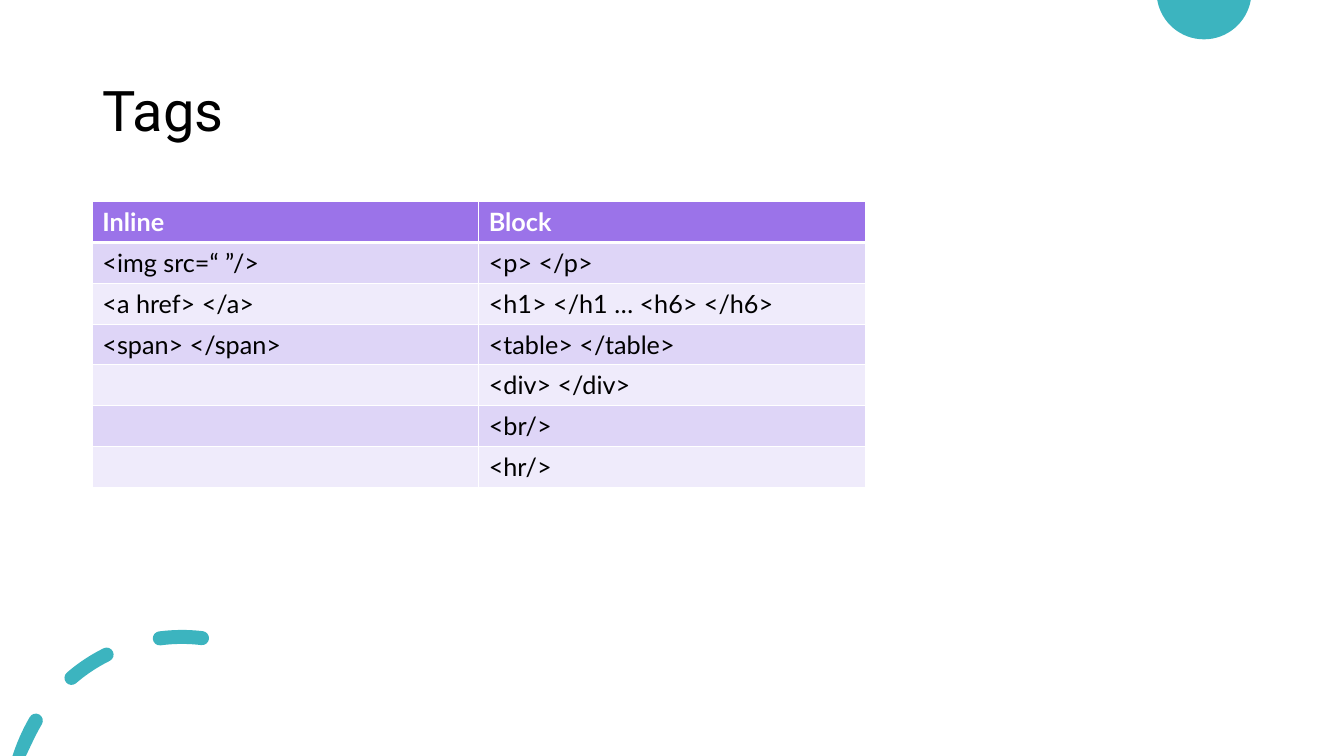
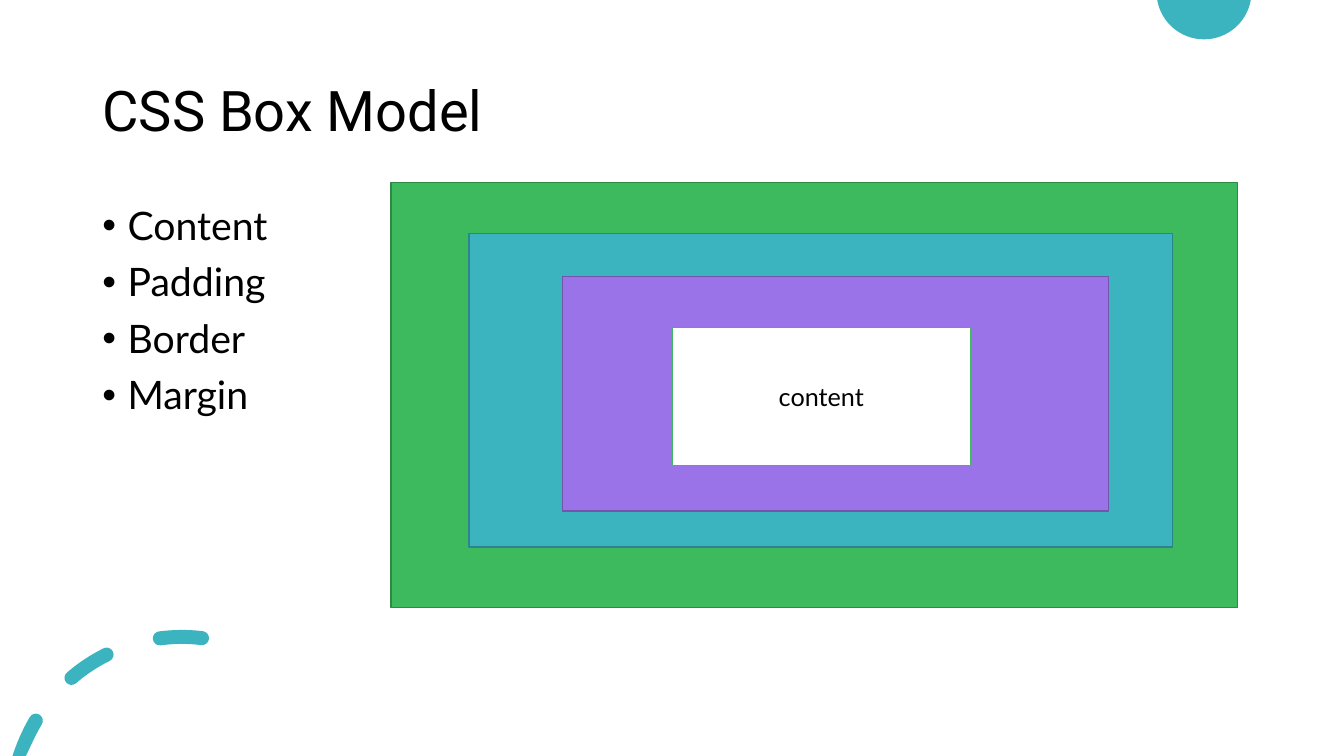
"""Builds two slides on HTML tags and the CSS box model."""
import math

from lxml import etree
from pptx import Presentation
from pptx.dml import color as dml
from pptx.enum import shapes, text
from pptx.oxml import ns
from pptx.util import Pt

WIDTH, HEIGHT = 960, 540
LEFT, CONTENT_TOP = 66, 144
TEAL, PURPLE, GREEN = "3CB4BF", "9B73E9", "3DBA5D"
WHITE, BLACK = "FFFFFF", "000000"
BANDS = ("DED5F7", "EFEBFB")
HEADING_FONT, BODY_FONT = "Roboto", "Lato"
TITLE_ONLY, TITLE_AND_CONTENT = 5, 1


def rgb(value):
    """Turn a hex string into a colour."""
    return dml.RGBColor.from_string(value)


def arc(center, radius, start, sweep, curves=1):
    """Return the Bezier points of an arc, in degrees clockwise from the left."""
    step = math.radians(sweep / curves)
    pull = 4 / 3 * math.tan(step / 4)

    def point(angle, offset=0):
        """Return a point on the circle, moved along its tangent."""
        return (center[0] - radius * (math.cos(angle) - offset * math.sin(angle)),
                center[1] - radius * (math.sin(angle) + offset * math.cos(angle)))

    angle = math.radians(start)
    points = [point(angle)]
    for _ in range(curves):
        points += [point(angle, pull), point(angle + step, -pull),
                   point(angle + step)]
        angle += step
    return points


def dash(center, radius, half_width, start, sweep):
    """Return the Bezier points of a curved dash with round ends."""
    end = start + sweep
    first, *_, last = arc(center, radius, start, sweep)
    return (arc(center, radius + half_width, start, sweep)
            + arc(last, half_width, end, 180, 2)[1:]
            + arc(center, radius - half_width, end, -sweep)[1:]
            + arc(first, half_width, start + 180, 180, 2)[1:])


def bend_lines(shape):
    """Turn each three line segments of a freeform into one Bezier curve."""
    lines = list(shape.element.iter(ns.qn("a:lnTo")))
    for index in range(0, len(lines), 3):
        curve = etree.Element(ns.qn("a:cubicBezTo"))
        lines[index].addprevious(curve)
        for line in lines[index:index + 3]:
            curve.append(line[0])
            line.getparent().remove(line)


def add_border(cell, side, width):
    """Give one side of a cell a white line."""
    properties = cell._tc.get_or_add_tcPr()
    line = etree.SubElement(properties, ns.qn("a:ln" + side), w=str(Pt(width)))
    fill = etree.SubElement(line, ns.qn("a:solidFill"))
    etree.SubElement(fill, ns.qn("a:srgbClr"), val=WHITE)


def add_bullet(paragraph, indent):
    """Give a paragraph a round bullet with a hanging indent."""
    properties = paragraph._p.get_or_add_pPr()
    properties.set("marL", str(Pt(indent)))
    properties.set("indent", str(-Pt(indent)))
    etree.SubElement(properties, ns.qn("a:buFont"), typeface="Arial")
    etree.SubElement(properties, ns.qn("a:buChar"), char="•")


class Deck:
    """Holds the presentation, its style and the current slide."""

    def __init__(self):
        """Start a widescreen presentation."""
        self.presentation = Presentation()
        self.presentation.slide_width = Pt(WIDTH)
        self.presentation.slide_height = Pt(HEIGHT)
        self.slide = None

    def add_slide(self, layout, title):
        """Start a slide with its title."""
        self.slide = self.presentation.slides.add_slide(
            self.presentation.slide_layouts[layout])
        shape = self.slide.shapes.title
        self.place(shape, LEFT, 28.8, 828, 104.4)
        shape.text_frame.vertical_anchor = text.MSO_ANCHOR.MIDDLE
        paragraph = shape.text_frame.paragraphs[0]
        paragraph.alignment = text.PP_ALIGN.LEFT
        paragraph.line_spacing = 0.9
        self.add_run(paragraph, title, 40, font=HEADING_FONT)

    def place(self, shape, left, top, width, height):
        """Move and size a placeholder, and keep its text size fixed."""
        shape.left, shape.top = Pt(left), Pt(top)
        shape.width, shape.height = Pt(width), Pt(height)
        shape.text_frame.auto_size = text.MSO_AUTO_SIZE.NONE

    def add_run(self, paragraph, words, size, color=BLACK, bold=False,
                font=BODY_FONT):
        """Add one formatted run."""
        run = paragraph.add_run()
        run.text = words
        run.font.name, run.font.size, run.font.bold = font, Pt(size), bold
        run.font.color.rgb = rgb(color)

    def add_curves(self, contours, color):
        """Draw closed Bezier contours as one shape, cut at the slide's edges."""
        builder = None
        for contour in contours:
            start, *rest = [(Pt(min(max(x, 0), WIDTH)), Pt(min(max(y, 0), HEIGHT)))
                            for x, y in contour]
            if builder is None:
                builder = self.slide.shapes.build_freeform(*start, scale=1.0)
            else:
                builder.move_to(*start)
            builder.add_line_segments(rest, close=True)
        shape = builder.convert_to_shape()
        bend_lines(shape)
        shape.shadow.inherit = False
        shape.fill.solid()
        shape.fill.fore_color.rgb = rgb(color)
        shape.line.fill.background()
        return shape

    def decorate_master(self):
        """Draw the corner circle and dashes and move them to the master."""
        circle = arc((860, -5.8), 33.9, -9.85, -160.3, 2)
        dashes = [dash((130, 576), 121, 5, 16.1 + 33.2 * i, 14.3)
                  for i in range(3)]
        tree = self.presentation.slide_master.shapes.element
        for number, contours in enumerate(([circle], dashes), start=100):
            shape = self.add_curves(contours, TEAL)
            shape.element.nvSpPr.cNvPr.set("id", str(number))
            tree.append(shape.element)

    def add_list(self, items):
        """Fill the body placeholder with bullets."""
        shape = self.slide.placeholders[1]
        self.place(shape, LEFT, CONTENT_TOP, 828, 303.8)
        frame = shape.text_frame
        for index, item in enumerate(items):
            paragraph = frame.add_paragraph() if index else frame.paragraphs[0]
            paragraph.line_spacing = 0.9
            paragraph.space_before = Pt(10)
            add_bullet(paragraph, 18)
            self.add_run(paragraph, item, 28)

    def add_table(self, rows, column_width, row_heights):
        """Add a table with a purple header and banded rows."""
        table = self.slide.shapes.add_table(
            len(rows), len(rows[0]), Pt(LEFT), Pt(CONTENT_TOP),
            Pt(column_width * len(rows[0])), Pt(sum(row_heights))).table
        for row_index, row in enumerate(rows):
            header = row_index == 0
            table.rows[row_index].height = Pt(row_heights[row_index])
            for column_index, words in enumerate(row):
                cell = table.cell(row_index, column_index)
                for side in "LRTB":
                    thick = (side, row_index) in (("B", 0), ("T", 1))
                    add_border(cell, side, 3 if thick else 1)
                cell.fill.solid()
                cell.fill.fore_color.rgb = rgb(
                    PURPLE if header else BANDS[(row_index - 1) % 2])
                if words:
                    self.add_run(cell.text_frame.paragraphs[0], words, 18,
                                 WHITE if header else BLACK, header)

    def add_box(self, bounds, fill, line, words=""):
        """Add an outlined rectangle with optional centred text."""
        shape = self.slide.shapes.add_shape(
            shapes.MSO_SHAPE.RECTANGLE, *map(Pt, bounds))
        shape.shadow.inherit = False
        shape.fill.solid()
        shape.fill.fore_color.rgb = rgb(fill)
        shape.line.color.rgb = rgb(line)
        shape.line.width = Pt(1)
        if words:
            shape.text_frame.vertical_anchor = text.MSO_ANCHOR.MIDDLE
            paragraph = shape.text_frame.paragraphs[0]
            paragraph.alignment = text.PP_ALIGN.CENTER
            self.add_run(paragraph, words, 18)


def add_tags_slide(deck):
    """List inline and block tags in a table."""
    deck.add_slide(TITLE_ONLY, "Tags")
    deck.add_table([
        ("Inline", "Block"),
        ("<img src=“ ”/>", "<p> </p>"),
        ("<a href> </a>", "<h1> </h1 … <h6> </h6>"),
        ("<span> </span>", "<table> </table> "),
        ("", "<div> </div>"),
        ("", "<br/>"),
        ("", "<hr/>"),
    ], column_width=276, row_heights=[29.2] * 3 + [28.8] * 4)


def add_box_model_slide(deck):
    """Show the nested boxes of the CSS box model."""
    deck.add_slide(TITLE_AND_CONTENT, "CSS Box Model")
    deck.add_list(["Content", "Padding", "Border", "Margin "])
    deck.add_box((279.4, 130.3, 604.4, 303.8), GREEN, "2D8A45")
    deck.add_box((335, 167, 502.4, 223.7), TEAL, "2C858D")
    deck.add_box((401.6, 197.3, 390.2, 167.6), PURPLE, "7355AC")
    deck.add_box((480.2, 234, 213, 98.6), WHITE, GREEN, "content")


def main():
    """Build and save the slides."""
    deck = Deck()
    add_tags_slide(deck)
    deck.decorate_master()
    add_box_model_slide(deck)
    deck.presentation.save("out.pptx")


main()
